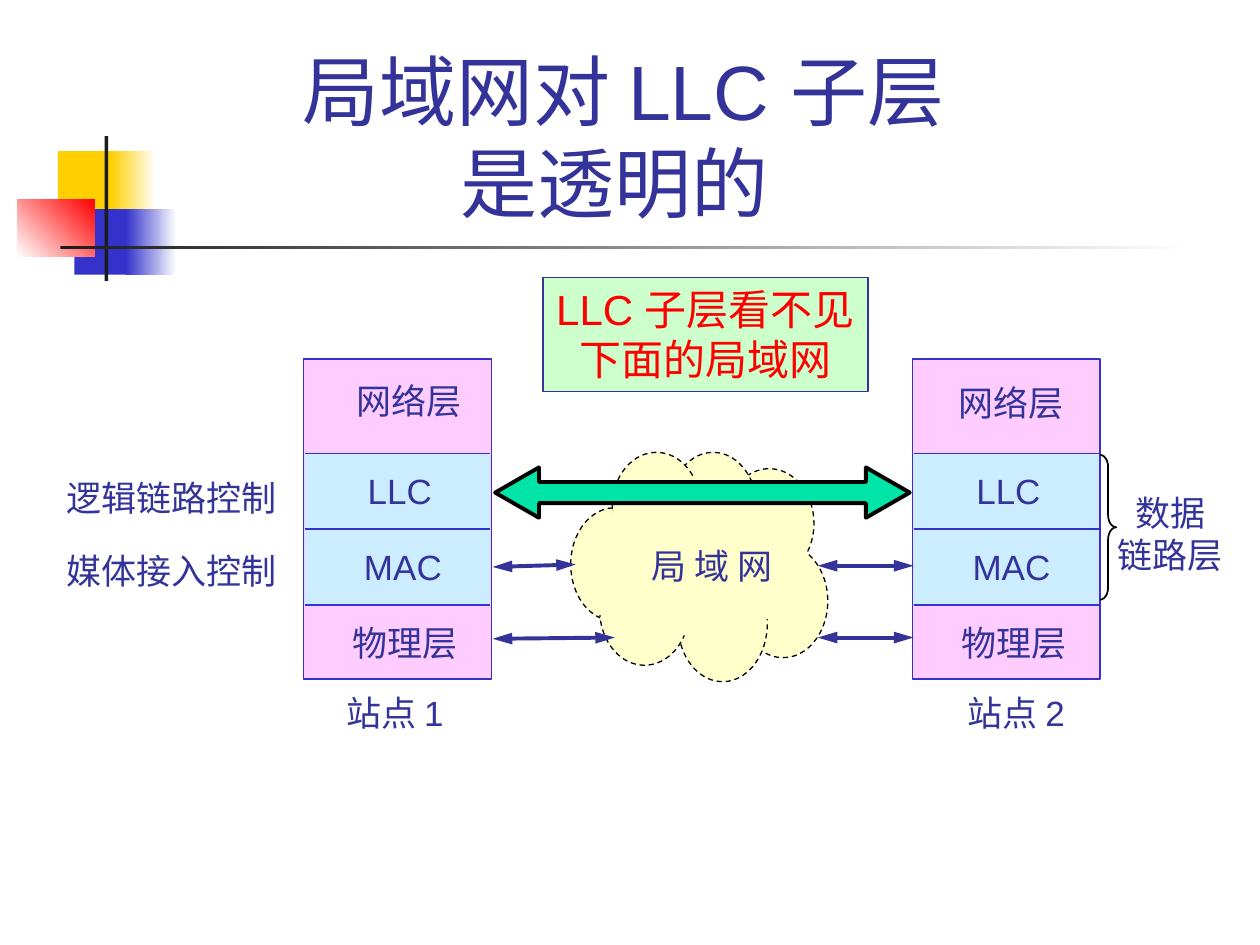
from dataclasses import dataclass

from lxml.etree import SubElement
from pptx import Presentation
from pptx.dml.color import RGBColor
from pptx.enum.dml import MSO_LINE
from pptx.enum.shapes import MSO_CONNECTOR, MSO_SHAPE
from pptx.enum.text import MSO_ANCHOR, MSO_AUTO_SIZE, PP_ALIGN
from pptx.oxml.ns import qn
from pptx.util import Inches, Pt


@dataclass(frozen=True)
class Theme:
    font: str = "Arial"
    title_size: int = 44
    callout_size: int = 24
    label_size: int = 20
    text: str = "333399"
    alert: str = "FF0000"
    rule: str = "3333CC"
    outline: str = "000000"
    dark: str = "1C1C1C"
    white: str = "FFFFFF"
    yellow: str = "FFCF01"
    pink: str = "FFCCFF"
    sky: str = "CCECFF"
    cloud: str = "FFFFCC"
    mint: str = "CCFFCC"
    green: str = "00E4A8"


THEME = Theme()


def rgb(value):
    return RGBColor.from_string(value)


def add_box(shapes, kind, box, fill=None, line=None, width=0.75):
    """Preset shape; fill is one colour, a (start, end, angle) gradient or None."""
    shape = shapes.add_shape(kind, *map(Inches, box))
    shape.shadow.inherit = False
    if fill is None:
        shape.fill.background()
    elif isinstance(fill, tuple):
        start, end, angle = fill
        shape.fill.gradient()
        shape.fill.gradient_angle = angle
        for stop, colour in zip(shape.fill.gradient_stops, (start, end)):
            stop.color.rgb = rgb(colour)
    else:
        shape.fill.solid()
        shape.fill.fore_color.rgb = rgb(fill)
    if line:
        shape.line.color.rgb = rgb(line)
        shape.line.width = Pt(width)
    else:
        shape.line.fill.background()
    return shape


def write(shape, text, size, colour, align):
    shape.text_frame.text = text
    for paragraph in shape.text_frame.paragraphs:
        paragraph.alignment = align
        for run in paragraph.runs:
            run.font.name = THEME.font
            run.font.size = Pt(size)
            run.font.color.rgb = rgb(colour)


def add_label(slide, text, left, top, width, height=0.43, align=PP_ALIGN.LEFT):
    label = slide.shapes.add_textbox(*map(Inches, (left, top, width, height)))
    label.text_frame.word_wrap = False
    label.text_frame.auto_size = MSO_AUTO_SIZE.SHAPE_TO_FIT_TEXT
    write(label, text, THEME.label_size, THEME.text, align)


def add_line(slide, start, end, colour, width, arrows=False):
    line = slide.shapes.add_connector(
        MSO_CONNECTOR.STRAIGHT, *map(Inches, (*start, *end)))
    line.line.color.rgb = rgb(colour)
    line.line.width = Pt(width)
    if arrows:
        for tag in ("a:headEnd", "a:tailEnd"):
            SubElement(line.line._get_or_add_ln(), qn(tag),
                       type="triangle", w="med", len="lg")
    SubElement(line._element.spPr, qn("a:effectLst"))
    return line


def add_title(slide, left, top, width, height):
    title = slide.shapes.title
    title.left, title.top, title.width, title.height = map(
        Inches, (left, top, width, height))
    title.text_frame.vertical_anchor = MSO_ANCHOR.BOTTOM
    title.text_frame.auto_size = MSO_AUTO_SIZE.NONE
    write(title, "局域网对 LLC 子层\v是透明的 ",
          THEME.title_size, THEME.text, PP_ALIGN.CENTER)


def add_ornament(slide, left, top):
    """Overlapping colour blocks with a crosshair that runs under the title."""
    parts = [
        (0.32, 0.12, 0.48, 0.52, THEME.yellow),
        (0.74, 0.12, 0.36, 0.52, (THEME.yellow, THEME.white, 0)),
        (0.45, 0.58, 0.46, 0.52, THEME.rule),
        (0.86, 0.58, 0.4, 0.52, (THEME.rule, THEME.white, 0)),
        (0, 0.5, 0.61, 0.46, (THEME.white, THEME.alert, 45)),
        (0.69, 0, 0.03, 1.15, THEME.dark),
        (0.34, 0.87, 9, 0.03, (THEME.dark, THEME.white, 0)),
    ]
    for x, y, width, height, fill in parts:
        add_box(slide.shapes, MSO_SHAPE.RECTANGLE,
                (left + x, top + y, width, height), fill)


def add_station(slide, left, top, width, height, caption, caption_x, network_at):
    """Protocol stack: network, LLC, MAC and physical layers."""
    add_box(slide.shapes, MSO_SHAPE.RECTANGLE, (left, top, width, height),
            THEME.pink, THEME.rule)
    row, link_top, inset = 0.6, top + 0.75, 0.01
    link = add_box(slide.shapes, MSO_SHAPE.RECTANGLE,
                   (left + inset, link_top, width - 2 * inset, 2 * row), THEME.sky)
    for index in range(3):
        y = link_top + index * row
        divider = add_line(slide, (left + inset, y), (left + width - inset, y),
                           THEME.rule, 1)
        if index == 1:
            divider.begin_connect(link, 1)
            divider.end_connect(link, 3)
    network_x, network_y = network_at
    for text, x, y, label_width in [
        ("网络层", network_x, network_y, 1.06),
        ("LLC", 0.41, 0.83, 0.71),
        ("MAC", 0.38, 1.43, 0.82),
        ("物理层", 0.29, 2.03, 1.06),
        (caption, caption_x, 2.59, 1.06),
    ]:
        add_label(slide, text, left + x, top + y, label_width)


def add_cloud(slide, left, top):
    group = slide.shapes.add_group_shape()
    puffs = [(1.33, 0.73, 0.71, 0.9), (0, 0.44, 0.7, 0.9), (1.22, 0.13, 0.71, 0.87),
             (0.85, 0.9, 0.71, 0.92), (0.23, 0.82, 0.71, 0.87),
             (0.78, 0, 0.7, 0.9), (0.33, 0, 0.7, 0.86)]
    for x, y, width, height in puffs:
        puff = add_box(group.shapes, MSO_SHAPE.OVAL,
                       (left + x, top + y, width, height), THEME.cloud, THEME.outline)
        puff.line.dash_style = MSO_LINE.DASH
    # Borderless centre and patch hide the inner outlines
    add_box(group.shapes, MSO_SHAPE.OVAL,
            (left + 0.18, top + 0.21, 1.7, 1.25), THEME.cloud)
    add_box(group.shapes, MSO_SHAPE.RECTANGLE,
            (left + 0.19, top + 1.05, 0.1, 0.24), THEME.cloud)
    add_label(slide, "局 域 网", left + 0.54, top + 0.68, 1.18)


def add_links(slide, left, top, right):
    """Arrows between the stations and the cloud, and the LLC peer arrow."""
    for start, end in [
        ((left, top + 0.79), (left + 0.66, top + 0.77)),
        ((left, top + 1.36), (left + 0.97, top + 1.35)),
        ((right, top + 0.78), (right - 0.76, top + 0.78)),
        ((right, top + 1.35), (right - 0.76, top + 1.35)),
    ]:
        add_line(slide, start, end, THEME.text, 2.25, arrows=True)
    peer = add_box(slide.shapes, MSO_SHAPE.LEFT_RIGHT_ARROW,
                   (left + 0.02, top, right - left - 0.05, 0.4),
                   THEME.green, THEME.outline, 2.25)
    peer.adjustments[0], peer.adjustments[1] = 0.42, 0.87


def add_side_notes(slide, left, right, top):
    """Names of the sublayers on the left, the data link brace on the right."""
    add_label(slide, "逻辑链路控制", left, top + 0.12, 1.89)
    add_label(slide, "媒体接入控制", left, top + 0.7, 1.89)
    brace = add_box(slide.shapes, MSO_SHAPE.RIGHT_BRACE, (right, top, 0.13, 1.15),
                    None, THEME.outline, 1)
    brace.adjustments[0] = 0.74
    add_label(slide, "数据\n链路层", right + 0.03, top + 0.24, 1.06, 0.76,
              PP_ALIGN.CENTER)


def add_callout(slide, left, top, width, height):
    callout = add_box(slide.shapes, MSO_SHAPE.RECTANGLE, (left, top, width, height),
                      THEME.mint, THEME.text)
    callout.text_frame.word_wrap = False
    callout.text_frame.vertical_anchor = MSO_ANCHOR.TOP
    write(callout, "LLC 子层看不见\n下面的局域网",
          THEME.callout_size, THEME.alert, PP_ALIGN.CENTER)


def main():
    presentation = Presentation()
    presentation.slide_width, presentation.slide_height = Inches(10), Inches(7.5)
    slide = presentation.slides.add_slide(presentation.slide_layouts[5])
    add_ornament(slide, 0.14, 1.08)
    add_title(slide, 1.2, 1.02, 7.5, 0.84)
    add_station(slide, 2.41, 2.85, 1.49, 2.54, "站点 1", 0.24, (0.32, 0.11))
    add_station(slide, 7.24, 2.85, 1.49, 2.54, "站点 2", 0.34, (0.27, 0.13))
    add_cloud(slide, 4.53, 3.59)
    add_links(slide, 3.91, 3.71, 7.25)
    add_side_notes(slide, 0.43, 8.73, 3.61)
    add_callout(slide, 4.31, 2.2, 2.58, 0.91)
    presentation.save("out.pptx")


if __name__ == "__main__":
    main()
